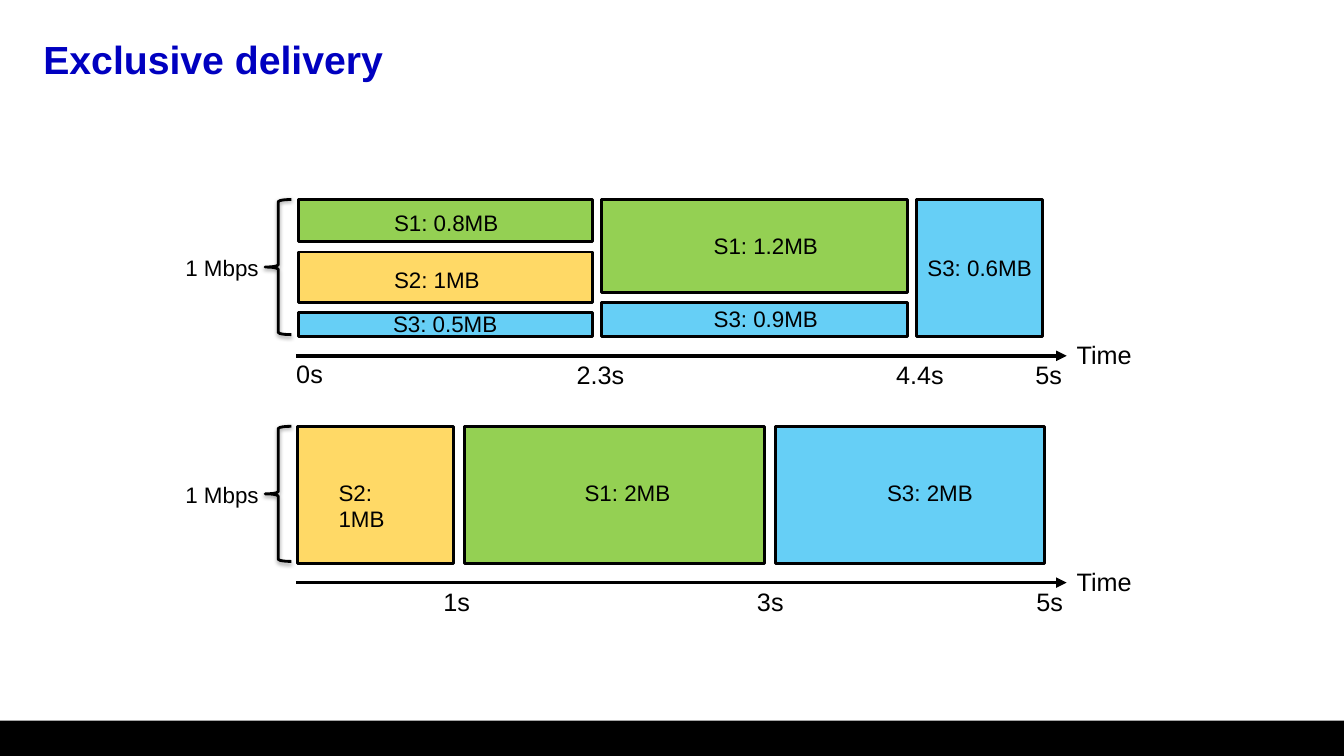
from lxml.etree import SubElement
from pptx import Presentation
from pptx.dml.color import RGBColor
from pptx.enum.shapes import MSO_CONNECTOR, MSO_SHAPE
from pptx.enum.text import MSO_ANCHOR, PP_ALIGN
from pptx.oxml.ns import qn
from pptx.util import Inches, Pt

COLORS = {"title": "0000C0", "ink": "000000",
          "S1": "92D050", "S2": "FFC000", "S3": "00B0F0"}
OPACITY = {"S1": 98, "S2": 60, "S3": 60}
LANE_HEIGHT, ROW_GAP = 1.36, 0.1
AXIS_LEFT, AXIS_RIGHT = 2.94, 10.58

# Column: width, end time, shift of the time from the column's right edge, blocks.
# Block: stream, amount, height, label offset (x, y), label width.
SHARED = [
    (2.92, "2.3s", -0.26, [("S1", "0.8MB", 0.42, 0.85, 0.05, 1.6),
                           ("S2", "1MB", 0.5, 0.85, 0.09, 1.6),
                           ("S3", "0.5MB", 0.24, 0.84, -0.07, 1.6)]),
    (3.03, "4.4s", -0.21, [("S1", "1.2MB", 0.92, 1.01, 0.27, 1.6),
                           ("S3", "0.9MB", 0.34, 1.01, -0.02, 1.67)]),
    (1.25, "5s", -0.17, [("S3", "0.6MB", LANE_HEIGHT, 0.01, 0.49, 1.39)]),
]
EXCLUSIVE = [
    (1.55, "1s", -0.2, [("S2", "1MB", LANE_HEIGHT, 0.31, 0.47, 1)]),
    (2.97, "3s", -0.17, [("S1", "2MB", LANE_HEIGHT, 1.09, 0.47, 1.05)]),
    (2.67, "5s", -0.18, [("S3", "2MB", LANE_HEIGHT, 1.01, 0.47, 1.25)]),
]


def rgb(name):
    return RGBColor.from_string(COLORS[name])


def style_text(p, size, color="ink", bold=False):
    f = p.runs[0].font
    f.name, f.size, f.bold = "Arial", Pt(size), bold
    f.color.rgb = rgb(color)


def add_label(s, text, x, y, w, size):
    tf = s.shapes.add_textbox(Inches(x), Inches(y), Inches(w),
                              Inches(0.37 if size == 16 else 0.4)).text_frame
    tf.word_wrap = True
    tf.text = text
    style_text(tf.paragraphs[0], size)


def add_outline(s, kind, x, y, w, h):
    sp = s.shapes.add_shape(kind, Inches(x), Inches(y), Inches(w), Inches(h))
    sp.line.color.rgb = rgb("ink")
    sp.line.width = Pt(2)
    sp.shadow.inherit = False
    return sp


def add_block(s, stream, x, y, w, h):
    sp = add_outline(s, MSO_SHAPE.RECTANGLE, x, y, w, h)
    sp.fill.solid()
    sp.fill.fore_color.rgb = rgb(stream)
    color = sp._element.spPr.find(qn("a:solidFill"))[0]
    SubElement(color, qn("a:alpha"), val=str(OPACITY[stream] * 1000))


def add_brace(s, x, y, w, h):
    sp = add_outline(s, MSO_SHAPE.LEFT_BRACE, x, y, w, h)
    sp.fill.background()
    effects = sp._element.spPr.find(qn("a:effectLst"))
    shadow = SubElement(effects, qn("a:outerShdw"), blurRad=str(Pt(3.1)),
                        dist=str(Pt(1.6)), dir="5400000", rotWithShape="0")
    color = SubElement(shadow, qn("a:srgbClr"), val=COLORS["ink"])
    SubElement(color, qn("a:alpha"), val="38000")


def add_axis(s, y):
    line = s.shapes.add_connector(MSO_CONNECTOR.STRAIGHT, Inches(AXIS_LEFT), Inches(y),
                                  Inches(AXIS_RIGHT), Inches(y))
    line.line.color.rgb = rgb("ink")
    line.line.width = Pt(2.5)
    SubElement(line.line._get_or_add_ln(), qn("a:tailEnd"), type="triangle")
    SubElement(line._element.spPr, qn("a:effectLst"))
    add_label(s, "Time", AXIS_RIGHT, y - 0.21, 0.77, 18)


def add_timeline(s, left, top, gap, columns):
    add_brace(s, 2.63, top, 0.26, 1.34)
    add_label(s, "1 Mbps", 1.74, top + 0.49, 1.19, 16)
    x = left
    for width, time, shift, blocks in columns:
        y = top
        for stream, amount, height, dx, dy, label_width in blocks:
            add_block(s, stream, x, y, width, height)
            add_label(s, f"{stream}: {amount}", x + dx, y + dy, label_width, 16)
            y += height + ROW_GAP
        add_label(s, time, x + width + shift, top + 1.54, 0.8, 18)
        x += width + gap
    add_axis(s, top + 1.55)


def add_frame(prs, s, title):
    """Place the title and the bar along the foot of the slide."""
    bar_height = Inches(0.35)
    bar = s.shapes.add_shape(MSO_SHAPE.RECTANGLE, 0, prs.slide_height - bar_height,
                             prs.slide_width, bar_height)
    bar.fill.solid()
    bar.fill.fore_color.rgb = rgb("ink")
    bar.line.fill.background()
    bar.shadow.inherit = False

    sp = s.shapes.title
    sp.left, sp.top, sp.width, sp.height = map(Inches, (0.33, 0.24, 12.68, 0.74))
    tf = sp.text_frame
    tf.text = title
    tf.vertical_anchor = MSO_ANCHOR.MIDDLE
    p = tf.paragraphs[0]
    p.alignment = PP_ALIGN.LEFT
    p.line_spacing = 0.9
    style_text(p, 28, "title", True)


def main():
    prs = Presentation()
    prs.slide_width, prs.slide_height = Inches(13.33), Inches(7.5)
    s = prs.slides.add_slide(prs.slide_layouts[5])
    add_frame(prs, s, "Exclusive delivery")
    add_timeline(s, 2.96, 1.98, 0.09, SHARED)
    add_label(s, "0s", 2.84, 3.51, 0.67, 18)
    add_timeline(s, 2.95, 4.23, 0.11, EXCLUSIVE)
    prs.save("out.pptx")


if __name__ == "__main__":
    main()
